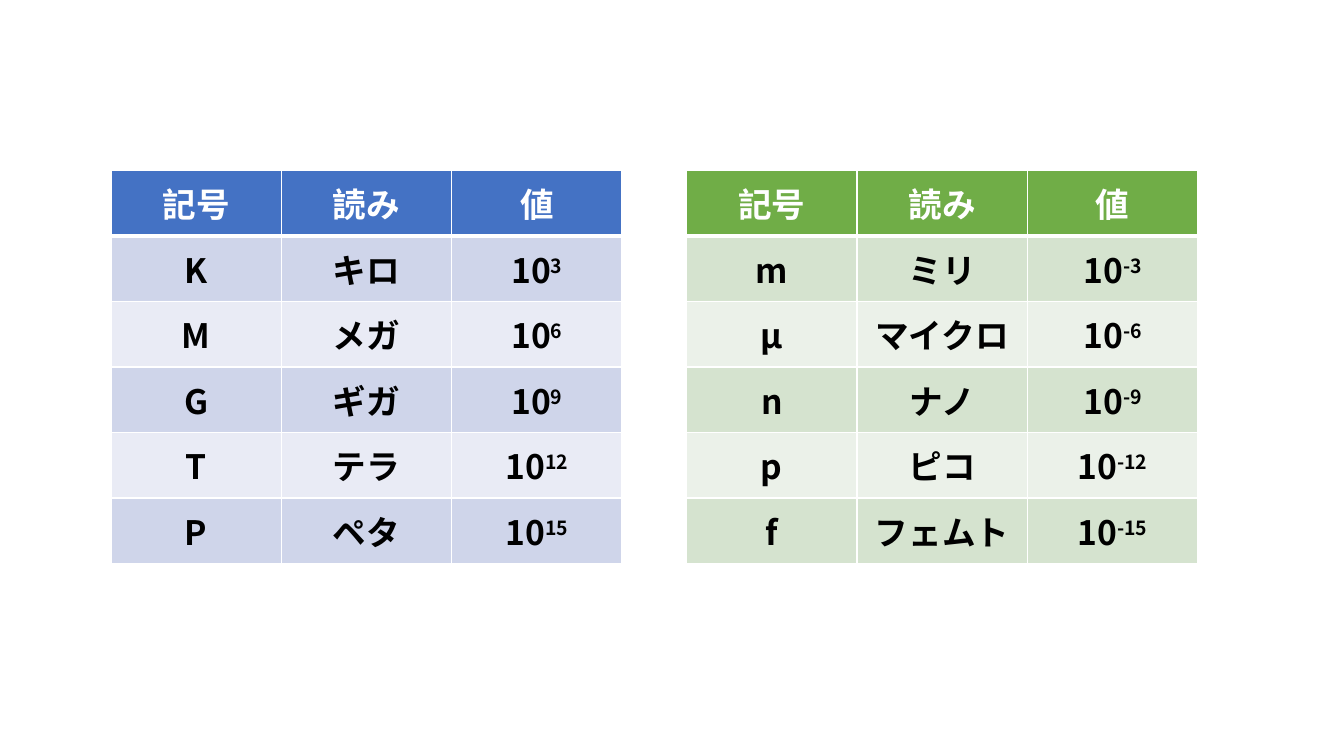
from dataclasses import dataclass

from lxml import etree
from pptx import Presentation
from pptx.dml.color import RGBColor
from pptx.enum.text import MSO_ANCHOR, PP_ALIGN
from pptx.oxml.ns import qn
from pptx.slide import Slide
from pptx.table import _Cell
from pptx.util import Emu, Pt

MIDDLE = MSO_ANCHOR.MIDDLE
CENTER = PP_ALIGN.CENTER
BLANK_LAYOUT = 6
EMU_PER_PX = 9144


@dataclass(frozen=True)
class Theme:
    font: str = "Noto Sans CJK JP"
    text_size: int = 24
    white: str = "FFFFFF"
    black: str = "000000"
    grid_width: int = 1
    header_rule_width: int = 3


@dataclass(frozen=True)
class Prefix:
    symbol: str
    reading: str
    exponent: str


@dataclass(frozen=True)
class PrefixTable:
    left: int
    header_fill: str
    band_fills: tuple[str, str]
    prefixes: tuple[Prefix, ...]


THEME = Theme()
SLIDE_WIDTH, SLIDE_HEIGHT = 1333, 750
TABLE_TOP = 169
COLUMN_WIDTH, ROW_HEIGHT = 169, 65
HEADINGS = ("記号", "読み", "値")

TABLES = (
    PrefixTable(110, "4472C4", ("CFD5EA", "E9EBF5"), (
        Prefix("K", "キロ", "3"),
        Prefix("M", "メガ", "6"),
        Prefix("G", "ギガ", "9"),
        Prefix("T", "テラ", "12"),
        Prefix("P", "ペタ", "15"),
    )),
    PrefixTable(681, "70AD47", ("D5E3CF", "EBF1E9"), (
        Prefix("m", "ミリ", "-3"),
        Prefix("μ", "マイクロ", "-6"),
        Prefix("n", "ナノ", "-9"),
        Prefix("p", "ピコ", "-12"),
        Prefix("f", "フェムト", "-15"),
    )),
)


def px(length: int) -> Emu:
    return Emu(length * EMU_PER_PX)


def set_borders(cell: _Cell, top: int, bottom: int) -> None:
    properties = cell._tc.get_or_add_tcPr()
    widths = {"lnL": THEME.grid_width, "lnR": THEME.grid_width, "lnT": top, "lnB": bottom}
    for side, width in widths.items():
        line = etree.SubElement(properties, qn(f"a:{side}"), w=str(Pt(width)))
        fill = etree.SubElement(line, qn("a:solidFill"))
        etree.SubElement(fill, qn("a:srgbClr"), val=THEME.white)


def fill_cell(cell: _Cell, text: str, fill: str, color: str, exponent: str = "") -> None:
    cell.fill.solid()
    cell.fill.fore_color.rgb = RGBColor.from_string(fill)
    cell.vertical_anchor = MIDDLE
    para = cell.text_frame.paragraphs[0]
    para.alignment = CENTER
    para.font.size = Pt(THEME.text_size)
    para.font.bold = True
    para.font.color.rgb = RGBColor.from_string(color)
    para.font.name = THEME.font
    defaults = para._p.get_or_add_pPr().get_or_add_defRPr()
    etree.SubElement(defaults, qn("a:ea"), typeface=THEME.font)
    para.add_run().text = text
    if exponent:
        span = para.add_run()
        span.text = exponent
        span._r.get_or_add_rPr().set("baseline", "30000")


def add_prefix_table(page: Slide, content: PrefixTable) -> None:
    row_count, column_count = len(content.prefixes) + 1, len(HEADINGS)
    table = page.shapes.add_table(
        row_count, column_count, px(content.left), px(TABLE_TOP),
        px(column_count * COLUMN_WIDTH), px(row_count * ROW_HEIGHT),
    ).table
    for row_index in range(row_count):
        top = THEME.header_rule_width if row_index == 1 else THEME.grid_width
        bottom = THEME.header_rule_width if row_index == 0 else THEME.grid_width
        for cell in table.rows[row_index].cells:
            set_borders(cell, top, bottom)
    for column, heading in enumerate(HEADINGS):
        fill_cell(table.cell(0, column), heading, content.header_fill, THEME.white)
    for row, prefix in enumerate(content.prefixes, start=1):
        fill = content.band_fills[(row - 1) % 2]
        fill_cell(table.cell(row, 0), prefix.symbol, fill, THEME.black)
        fill_cell(table.cell(row, 1), prefix.reading, fill, THEME.black)
        fill_cell(table.cell(row, 2), "10", fill, THEME.black, prefix.exponent)


def main() -> None:
    deck = Presentation()
    deck.slide_width, deck.slide_height = px(SLIDE_WIDTH), px(SLIDE_HEIGHT)
    page = deck.slides.add_slide(deck.slide_layouts[BLANK_LAYOUT])
    for content in TABLES:
        add_prefix_table(page, content)
    deck.save("out.pptx")


if __name__ == "__main__":
    main()
